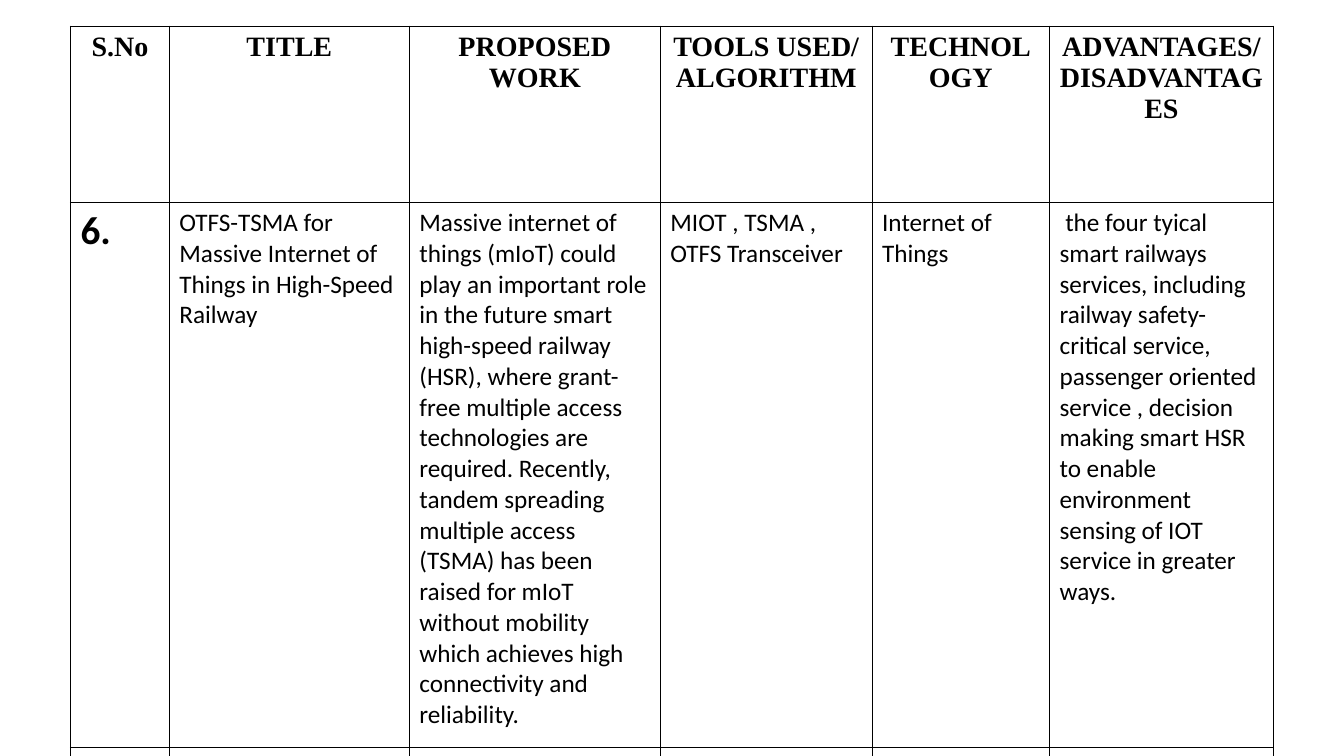
"""Build a literature survey table slide."""
from lxml.etree import SubElement
from pptx import Presentation
from pptx.dml.color import RGBColor
from pptx.enum.text import PP_ALIGN
from pptx.oxml.ns import qn
from pptx.util import Inches, Pt

BLACK = RGBColor(0, 0, 0)
HEADINGS = ["S.No", "TITLE", "PROPOSED WORK", "TOOLS USED/\nALGORITHM",
            "TECHNOLOGY", "ADVANTAGES/ DISADVANTAGES"]
PAPER = [
    "6.",
    "OTFS-TSMA for Massive Internet of Things in High-Speed Railway",
    "Massive internet of things (mIoT) could play an important role in the "
    "future smart high-speed railway (HSR), where grant-free multiple access "
    "technologies are required. Recently, tandem spreading multiple access "
    "(TSMA) has been raised for mIoT without mobility which achieves high "
    "connectivity and reliability. ",
    "MIOT , TSMA , OTFS Transceiver",
    "Internet of Things",
    " the four tyical smart railways services, including railway safety- "
    "critical service, passenger oriented service , decision making smart HSR "
    "to enable environment sensing of IOT service in greater ways.",
]
NEXT_PAPER = [""] * len(HEADINGS)
COLUMN_WIDTHS = [0.98, 2.38, 2.49, 2.1, 1.76, 2.22]
ROW_HEIGHTS = [1.75, 5.41, 2.45]
HEADING_STYLE = dict(size=20, font="Times New Roman", bold=True, align=PP_ALIGN.CENTER)
NUMBER_STYLE = dict(size=28, bold=True)
BODY_STYLE = dict(size=18)


def write_text(cell, text, size, font="Calibri", bold=False, align=PP_ALIGN.LEFT):
    cell.text_frame.text = text
    for para in cell.text_frame.paragraphs:
        para.alignment = align
        para.font.size = Pt(size)
        for span in para.runs:
            span.font.name = font
            span.font.size = Pt(size)
            span.font.bold = bold
            span.font.color.rgb = BLACK


def draw_borders(cell):
    properties = cell._tc.get_or_add_tcPr()
    for side in ("a:lnL", "a:lnR", "a:lnT", "a:lnB"):
        line = SubElement(properties, qn(side), w=str(Pt(1)))
        fill = SubElement(line, qn("a:solidFill"))
        SubElement(fill, qn("a:srgbClr"), val=str(BLACK))


def style_for(row, column):
    if row == 0:
        return HEADING_STYLE
    return NUMBER_STYLE if column == 0 else BODY_STYLE


deck = Presentation()
deck.slide_width, deck.slide_height = Inches(13.33), Inches(7.5)
page = deck.slides.add_slide(deck.slide_layouts[6])
rows = [HEADINGS, PAPER, NEXT_PAPER]
survey = page.shapes.add_table(
    len(rows), len(HEADINGS), Inches(0.7), Inches(0.26),
    Inches(sum(COLUMN_WIDTHS)), Inches(sum(ROW_HEIGHTS))).table
survey.first_row = survey.horz_banding = False
for column, width in zip(survey.columns, COLUMN_WIDTHS):
    column.width = Inches(width)
for row, height in zip(survey.rows, ROW_HEIGHTS):
    row.height = Inches(height)

for row_index, texts in enumerate(rows):
    for column_index, text in enumerate(texts):
        cell = survey.cell(row_index, column_index)
        write_text(cell, text, **style_for(row_index, column_index))
        draw_borders(cell)
        cell.fill.background()

deck.save("out.pptx")
